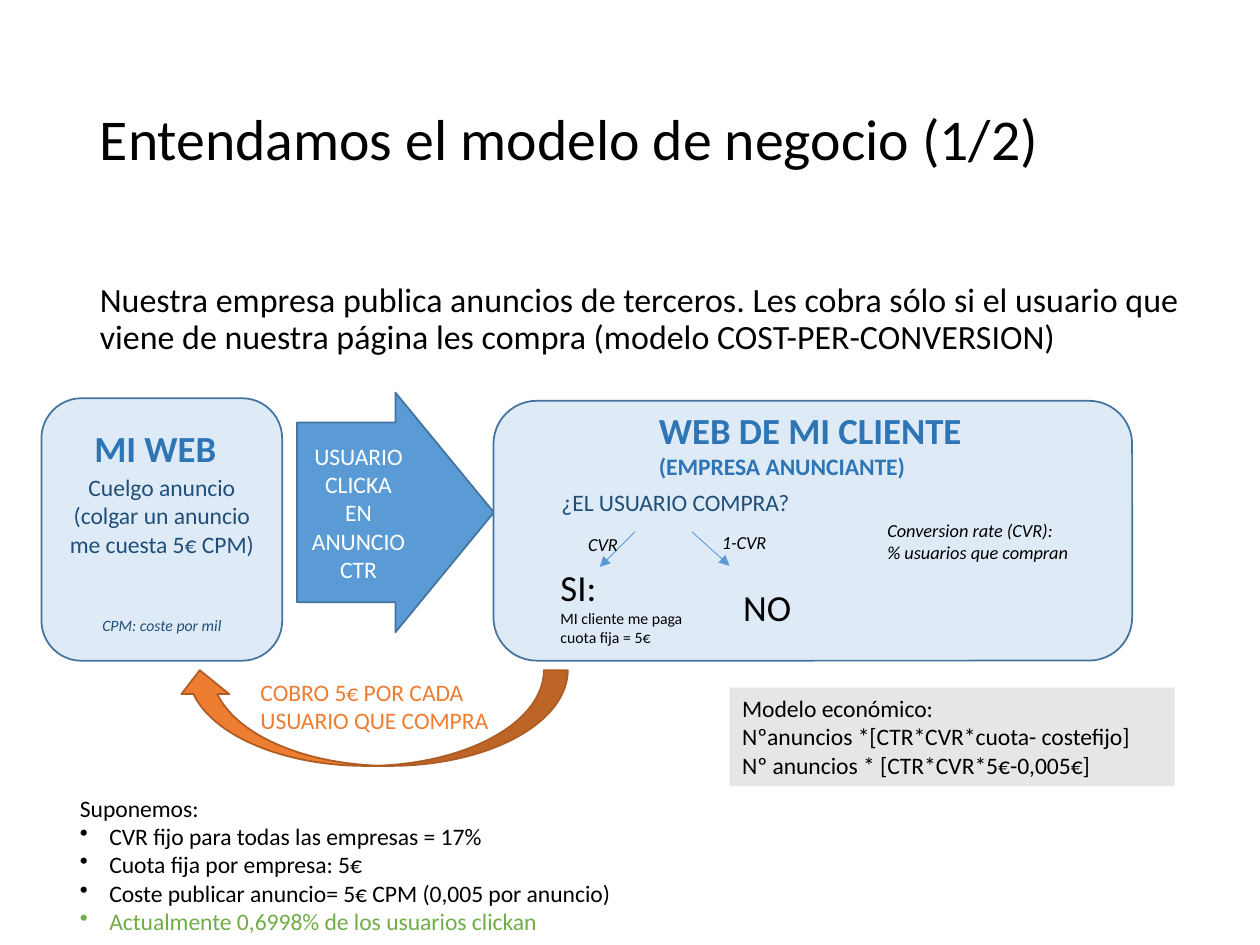
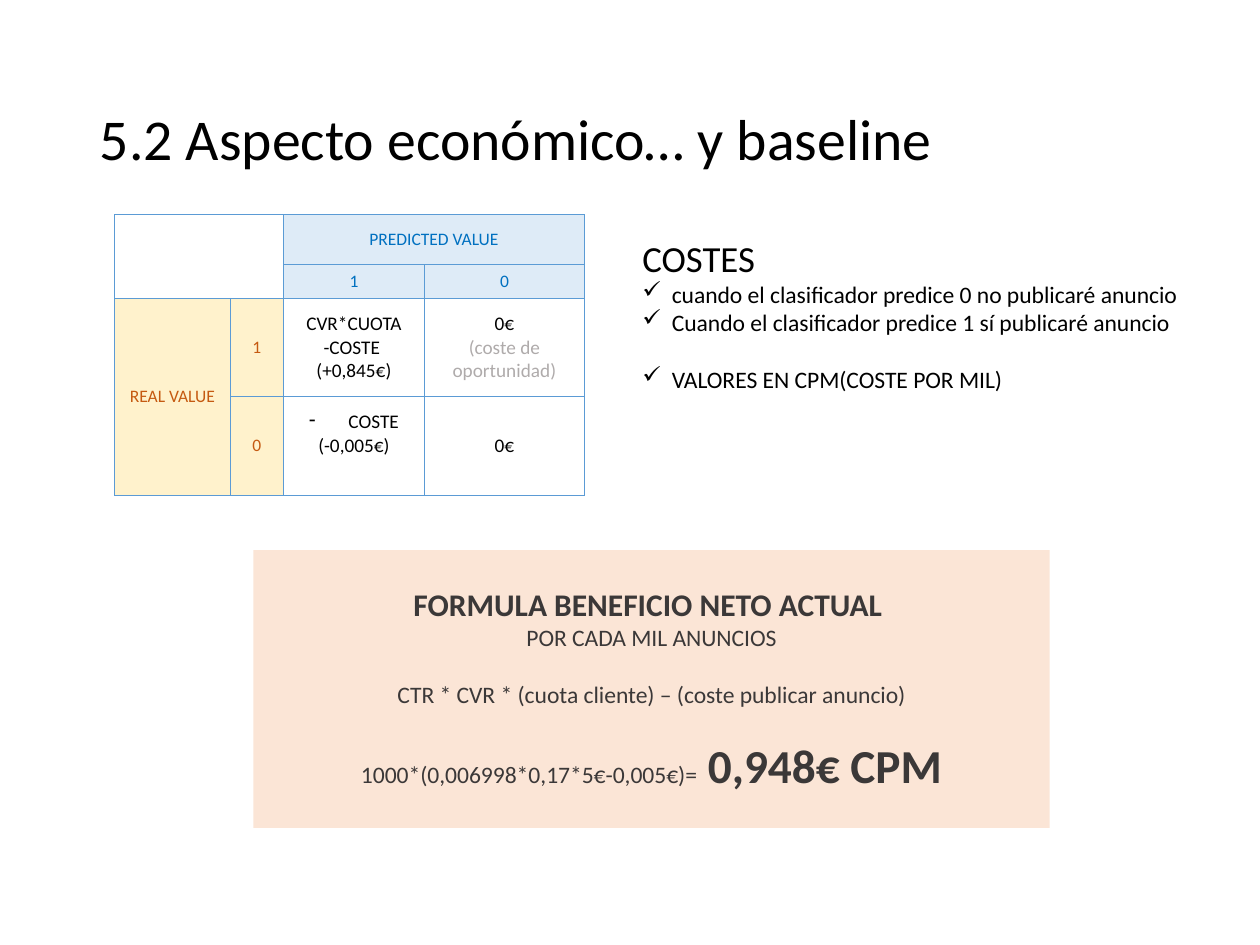
import dataclasses
import typing

import lxml.etree
import pptx
import pptx.dml.color
import pptx.enum.shapes
import pptx.enum.text
import pptx.oxml.ns
import pptx.util

Pt = pptx.util.Pt
qn = pptx.oxml.ns.qn
SHAPE = pptx.enum.shapes.MSO_SHAPE
ANCHOR = pptx.enum.text.MSO_ANCHOR
ALIGN = pptx.enum.text.PP_ALIGN

FONT = "Calibri"
BLACK, WHITE, DARK_GREY = "000000", "FFFFFF", "3B3838"
BLUE, BLUE_LINE, PALE_BLUE = "5B9BD5", "43739E", "DEEBF7"
NAVY, HEADING_BLUE, HEADER_BLUE = "1F4E79", "2E75B6", "0070C0"
ORANGE, ORANGE_LINE, RUST = "ED7D31", "AF5C24", "C55A11"
PEACH, CREAM, LIGHT_GREY, MID_GREY, GREEN = "FBE5D6", "FFF2CC", "E7E6E6", "AFABAB", "70AD47"
BODY, HEADING, SMALL, NOTE = 13.5, 21, 9, 10.5
BLANK_LINE = 16.4


@dataclasses.dataclass
class Para:
    text: str
    size: float = BODY
    color: str = BLACK
    bold: bool = False
    italic: bool = False
    center: bool = False
    bullet: str = ""
    indent: float = 16.8
    before: float = 0
    spacing: typing.Optional[float] = None
    big_end: str = ""


def rgb(color):
    return pptx.dml.color.RGBColor.from_string(color)


def format_run(r, size, color, bold, italic):
    f = r.font
    f.name, f.size, f.bold, f.italic = FONT, Pt(size), bold, italic
    f.color.rgb = rgb(color)


def set_end_size(p, size):
    """Set the size of the paragraph mark, which also sizes the bullet."""
    p._p.get_or_add_endParaRPr().set("sz", str(int(size * 100)))


def write(tf, paras):
    """Fill a text frame with formatted paragraphs."""
    for i, para in enumerate(paras):
        p = tf.add_paragraph() if i else tf.paragraphs[0]
        p.text = para.text
        p.alignment = ALIGN.CENTER if para.center else ALIGN.LEFT
        if para.before:
            p.space_before = Pt(para.before)
        if para.spacing:
            p.line_spacing = para.spacing
        if para.bullet:
            pPr = p._p.get_or_add_pPr()
            pPr.set("marL", str(Pt(para.indent)))
            pPr.set("indent", str(-Pt(para.indent)))
            lxml.etree.SubElement(pPr, qn("a:buChar")).set("char", para.bullet)
            set_end_size(p, para.size)
        for r in p.runs:
            format_run(r, para.size, para.color, para.bold, para.italic)
        if para.big_end:
            r = p.add_run()
            r.text = para.big_end
            format_run(r, 27, para.color, True, False)


def add_text(s, box, *paras, wrap=True, anchor=ANCHOR.TOP):
    tf = s.shapes.add_textbox(*map(Pt, box)).text_frame
    tf.word_wrap = wrap
    tf.vertical_anchor = anchor
    write(tf, paras)


def add_panel(s, kind, box, fill, *paras, line=None, anchor=ANCHOR.MIDDLE):
    sp = s.shapes.add_shape(kind, *map(Pt, box))
    sp.shadow.inherit = False
    sp.fill.solid()
    sp.fill.fore_color.rgb = rgb(fill)
    if line:
        sp.line.color.rgb = rgb(line)
        sp.line.width = Pt(1)
    else:
        sp.line.fill.background()
    sp.text_frame.word_wrap = True
    sp.text_frame.vertical_anchor = anchor
    write(sp.text_frame, paras)
    return sp


def add_arrow(s, *ends):
    c = s.shapes.add_connector(pptx.enum.shapes.MSO_CONNECTOR.STRAIGHT, *map(Pt, ends))
    c.line.color.rgb = rgb(BLUE)
    c.line.width = Pt(0.5)
    lxml.etree.SubElement(c.line._get_or_add_ln(), qn("a:tailEnd")).set("type", "triangle")
    lxml.etree.SubElement(c._element.spPr, qn("a:effectLst"))


def add_titled_slide(prs, title):
    s = prs.slides.add_slide(prs.slide_layouts[6])
    add_text(s, (50, 28.8, 621, 104.4), Para(title, 33, spacing=0.9), anchor=ANCHOR.MIDDLE)
    return s


def set_borders(cell):
    tcPr = cell._tc.get_or_add_tcPr()
    for side in ("lnL", "lnR", "lnT", "lnB"):
        ln = lxml.etree.SubElement(tcPr, qn("a:" + side))
        ln.set("w", str(Pt(0.25)))
        fill = lxml.etree.SubElement(ln, qn("a:solidFill"))
        lxml.etree.SubElement(fill, qn("a:srgbClr")).set("val", BLUE)


def add_matrix(s, box, widths, heights, merges, cells):
    """Add a bordered table; cells maps (row, column) to (fill, paragraphs)."""
    frame = s.shapes.add_table(len(heights), len(widths), *map(Pt, box))
    table = frame.table
    table.first_row = table.horz_banding = False
    for column, width in zip(table.columns, widths):
        column.width = Pt(width)
    for row, height in zip(table.rows, heights):
        row.height = Pt(height)
    for r in range(len(heights)):
        for c in range(len(widths)):
            cell = table.cell(r, c)
            set_borders(cell)
            fill, paras = cells.get((r, c), (None, []))
            if fill:
                cell.fill.solid()
                cell.fill.fore_color.rgb = rgb(fill)
            else:
                cell.fill.background()
            cell.vertical_anchor = ANCHOR.MIDDLE
            cell.margin_left = cell.margin_right = Pt(5)
            cell.margin_top = cell.margin_bottom = Pt(2.8)
            if paras:
                write(cell.text_frame, paras)
            else:
                set_end_size(cell.text_frame.paragraphs[0], 10)
    for first, last in merges:
        table.cell(*first).merge(table.cell(*last))
    return table


def build_business_model(prs):
    s = add_titled_slide(prs, "Entendamos el modelo de negocio (1/2)")
    add_text(s, (50, 158.4, 642.5, 55.5),
             Para("Nuestra empresa publica anuncios de terceros. Les cobra sólo si el usuario que "
                  "viene de nuestra página les compra (modelo COST-PER-CONVERSION)", 19.4, spacing=0.9))

    my_web = add_panel(
        s, SHAPE.ROUNDED_RECTANGLE, (23.7, 227.6, 137.6, 150), PALE_BLUE,
        Para("Cuelgo anuncio (colgar un anuncio me cuesta 5€ CPM)", color=NAVY, center=True),
        Para("CPM: coste por mil", SMALL, NAVY, italic=True, center=True, before=2 * BLANK_LINE),
        line=BLUE_LINE, anchor=ANCHOR.TOP)
    my_web.text_frame.margin_top = Pt(3.2 + 2 * BLANK_LINE)

    click = add_panel(
        s, SHAPE.RIGHT_ARROW, (169.7, 224.3, 112.5, 137), BLUE,
        Para("USUARIO CLICKA EN ANUNCIO", color=WHITE, center=True),
        Para("CTR", color=WHITE, center=True), line=BLUE_LINE)
    click.adjustments[0] = 0.75

    client = add_panel(
        s, SHAPE.ROUNDED_RECTANGLE, (282, 229, 365, 148.5), PALE_BLUE,
        Para("¿EL USUARIO COMPRA?", color=NAVY), line=BLUE_LINE)
    client.text_frame.margin_left = Pt(31.6)
    client.text_frame.margin_bottom = Pt(3.6 + 2 * BLANK_LINE)

    add_text(s, (500, 293, 119.5, 32.4), Para("Conversion rate (CVR):", NOTE, italic=True),
             Para("% usuarios que compran", NOTE, italic=True))
    add_text(s, (46.8, 239.8, 85, 32.4), Para("MI WEB", HEADING, HEADING_BLUE, True), wrap=False)
    add_text(s, (369.4, 229.7, 194.4, 49), Para("WEB DE MI CLIENTE", HEADING, HEADING_BLUE, True),
             Para("(EMPRESA ANUNCIANTE)", BODY, HEADING_BLUE, True), wrap=False)

    payment = add_panel(s, SHAPE.CURVED_UP_ARROW, (100.5, 383, 224, 54.7), ORANGE, line=ORANGE_LINE)
    payment._element.spPr.find(qn("a:xfrm")).set("flipH", "1")
    add_text(s, (141.8, 383.6, 177.8, 40.3), Para("COBRO 5€ POR CADA USUARIO QUE COMPRA", color=ORANGE))

    add_arrow(s, 362.9, 303.8, 342.7, 324)
    add_arrow(s, 395.3, 303.8, 416.9, 323.3)
    add_text(s, (313.2, 319, 88.6, 54.7), Para("SI:", HEADING),
             Para("MI cliente me paga cuota fija = 5€", SMALL))
    add_text(s, (417.6, 330.5, 72.7, 32.4), Para("NO", HEADING))
    add_text(s, (329, 301, 44, 20.2), Para("CVR", NOTE, italic=True))
    add_text(s, (405.4, 300.2, 53.3, 20.2), Para("1-CVR", NOTE, italic=True))

    add_panel(s, SHAPE.RECTANGLE, (417, 393, 254.2, 56.2), LIGHT_GREY,
              Para("Modelo económico:"),
              Para("Nºanuncios *[CTR*CVR*cuota- costefijo]"),
              Para("Nº anuncios * [CTR*CVR*5€-0,005€]"), anchor=ANCHOR.TOP)
    add_text(s, (38.6, 450, 648, 89.3),
             Para("Suponemos:"),
             Para("CVR fijo para todas las empresas = 17%", bullet="•"),
             Para("Cuota fija por empresa: 5€", bullet="•"),
             Para("Coste publicar anuncio= 5€ CPM (0,005 por anuncio)", bullet="•"),
             Para("Actualmente 0,6998% de los usuarios clickan", color=GREEN, bullet="•"))


def build_economics(prs):
    def label(text, color):
        return [Para(text, 10, color, center=True)]

    def value(text, color=BLACK, **style):
        return Para(text, 11, color, center=True, **style)

    s = add_titled_slide(prs, "5.2 Aspecto económico… y baseline")
    cells = {
        (0, 2): (PALE_BLUE, label("PREDICTED VALUE", HEADER_BLUE)),
        (1, 2): (PALE_BLUE, label("1", HEADER_BLUE)),
        (1, 3): (PALE_BLUE, label("0", HEADER_BLUE)),
        (2, 0): (CREAM, label("REAL VALUE", RUST)),
        (2, 1): (CREAM, label("1", RUST)),
        (3, 1): (CREAM, label("0", RUST)),
        (2, 2): (None, [value("CVR*CUOTA"), value("-COSTE "), value("(+0,845€)")]),
        (2, 3): (None, [value("0€"), value("(coste de oportunidad)", MID_GREY)]),
        (3, 2): (WHITE, [value("COSTE", bullet="-", indent=22.5), value("(-0,005€)")]),
        (3, 3): (None, [value("0€")]),
    }
    merges = [((0, 0), (1, 1)), ((0, 2), (0, 3)), ((2, 0), (3, 0))]
    table = add_matrix(s, (65.4, 122.4, 268.6, 160.6), (66.2, 30.4, 80.6, 91.4),
                       (28.6, 19.4, 56.3, 56.3), merges, cells)
    table.cell(3, 2).margin_bottom = Pt(16.2)

    add_text(s, (360, 131, 360, 141.8),
             Para("COSTES", HEADING),
             Para("cuando el clasificador predice 0 no publicaré anuncio", bullet="✓"),
             Para("Cuando el clasificador predice 1 sí publicaré anuncio", bullet="✓"),
             Para("VALORES EN CPM(COSTE POR MIL)", bullet="✓", before=BLANK_LINE))

    add_panel(s, SHAPE.RECTANGLE, (144.8, 314.4, 455, 158.8), PEACH,
              Para("FORMULA BENEFICIO NETO ACTUAL ", 18, DARK_GREY, True, center=True),
              Para("POR CADA MIL ANUNCIOS", color=DARK_GREY, center=True),
              Para("CTR * CVR * (cuota cliente) – (coste publicar anuncio)",
                   color=DARK_GREY, center=True, before=BLANK_LINE),
              Para("1000*(0,006998*0,17*5€-0,005€)=", color=DARK_GREY, center=True,
                   before=BLANK_LINE, big_end=" 0,948€ CPM"))


def main():
    prs = pptx.Presentation()
    prs.slide_width, prs.slide_height = Pt(720), Pt(540)
    build_business_model(prs)
    build_economics(prs)
    prs.save("out.pptx")


if __name__ == "__main__":
    main()
